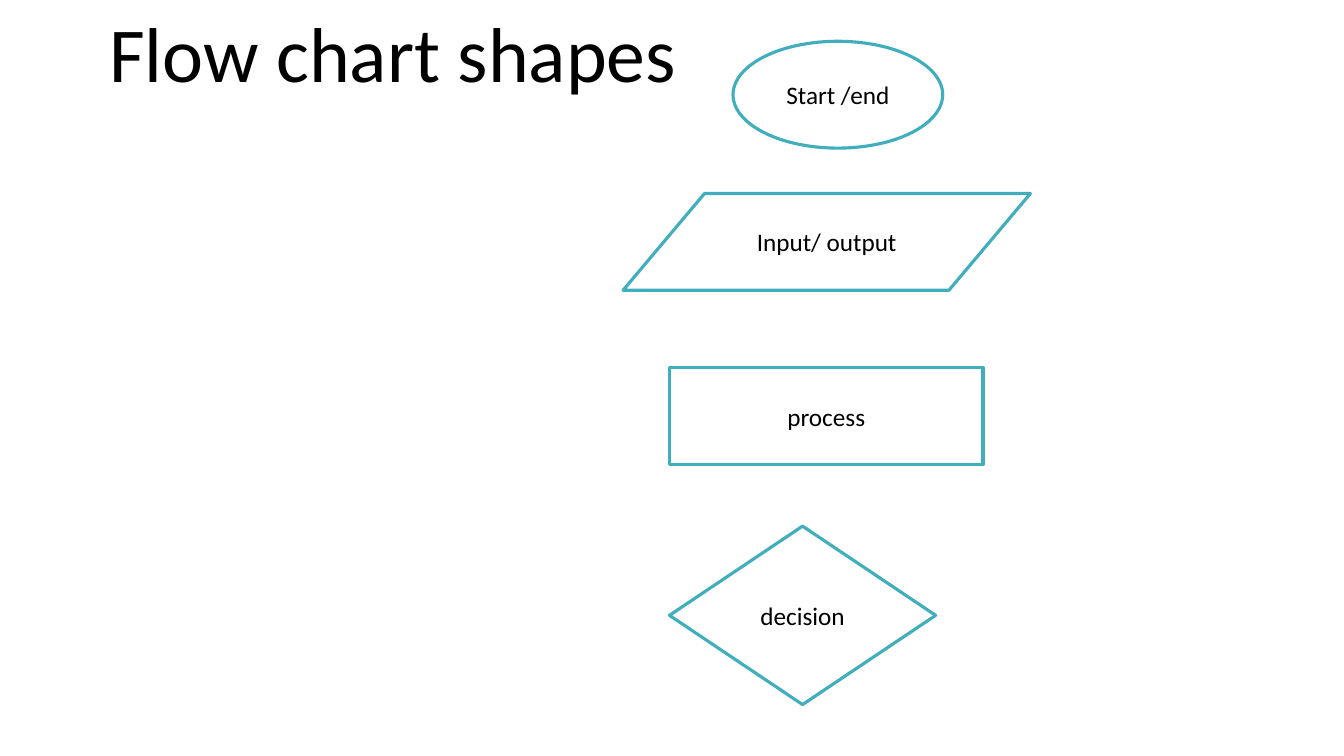
from dataclasses import dataclass
from pptx import Presentation
from pptx.dml.color import RGBColor
from pptx.enum.shapes import MSO_SHAPE
from pptx.enum.text import MSO_ANCHOR, MSO_AUTO_SIZE, PP_ALIGN
from pptx.util import Inches, Pt


@dataclass(frozen=True)
class Theme:
    font: str = "Calibri"
    ink: RGBColor = RGBColor(0, 0, 0)
    paper: RGBColor = RGBColor(255, 255, 255)
    edge: RGBColor = RGBColor(0x41, 0xAE, 0xBD)
    title: float = 55.5
    label: float = 18
    stroke: float = 2.25


class Page:
    def __init__(self, slide, theme):
        self.slide = slide
        self.theme = theme
        fill = slide.background.fill
        fill.solid()
        fill.fore_color.rgb = theme.paper

    def letter(self, frame, text, size):
        frame.text = text
        frame.word_wrap = True
        frame.auto_size = MSO_AUTO_SIZE.NONE
        frame.vertical_anchor = MSO_ANCHOR.MIDDLE
        para = frame.paragraphs[0]
        para.alignment = PP_ALIGN.CENTER
        font = para.runs[0].font
        font.name = self.theme.font
        font.size = Pt(size)
        font.color.rgb = self.theme.ink

    def title(self, text, left, top, width, height):
        head = self.slide.shapes.title
        head.left, head.top = Inches(left), Inches(top)
        head.width, head.height = Inches(width), Inches(height)
        self.letter(head.text_frame, text, self.theme.title)
        head.text_frame.paragraphs[0].line_spacing = 0.8

    def symbol(self, kind, text, left, top, width, height):
        shape = self.slide.shapes.add_shape(
            kind, Inches(left), Inches(top), Inches(width), Inches(height))
        shape.shadow.inherit = False
        shape.fill.solid()
        shape.fill.fore_color.rgb = self.theme.paper
        shape.line.color.rgb = self.theme.edge
        shape.line.width = Pt(self.theme.stroke)
        self.letter(shape.text_frame, text, self.theme.label)


def main():
    deck = Presentation()
    deck.slide_width, deck.slide_height = Inches(13.33), Inches(7.5)
    page = Page(deck.slides.add_slide(deck.slide_layouts[5]), Theme())
    page.title("Flow chart shapes ", 0.23, 0.15, 7.51, 0.9)
    symbols = [
        (MSO_SHAPE.OVAL, "Start /end", 7.27, 0.41, 2.08, 1.06),
        (MSO_SHAPE.RECTANGLE, "process", 6.64, 3.65, 3.11, 0.96),
        (MSO_SHAPE.FLOWCHART_DECISION, "decision", 6.64, 5.22, 2.64, 1.77),
        (MSO_SHAPE.FLOWCHART_DATA, "Input/ output", 6.18, 1.92, 4.04, 0.96),
    ]
    for item in symbols:
        page.symbol(*item)
    deck.save("out.pptx")


if __name__ == "__main__":
    main()
